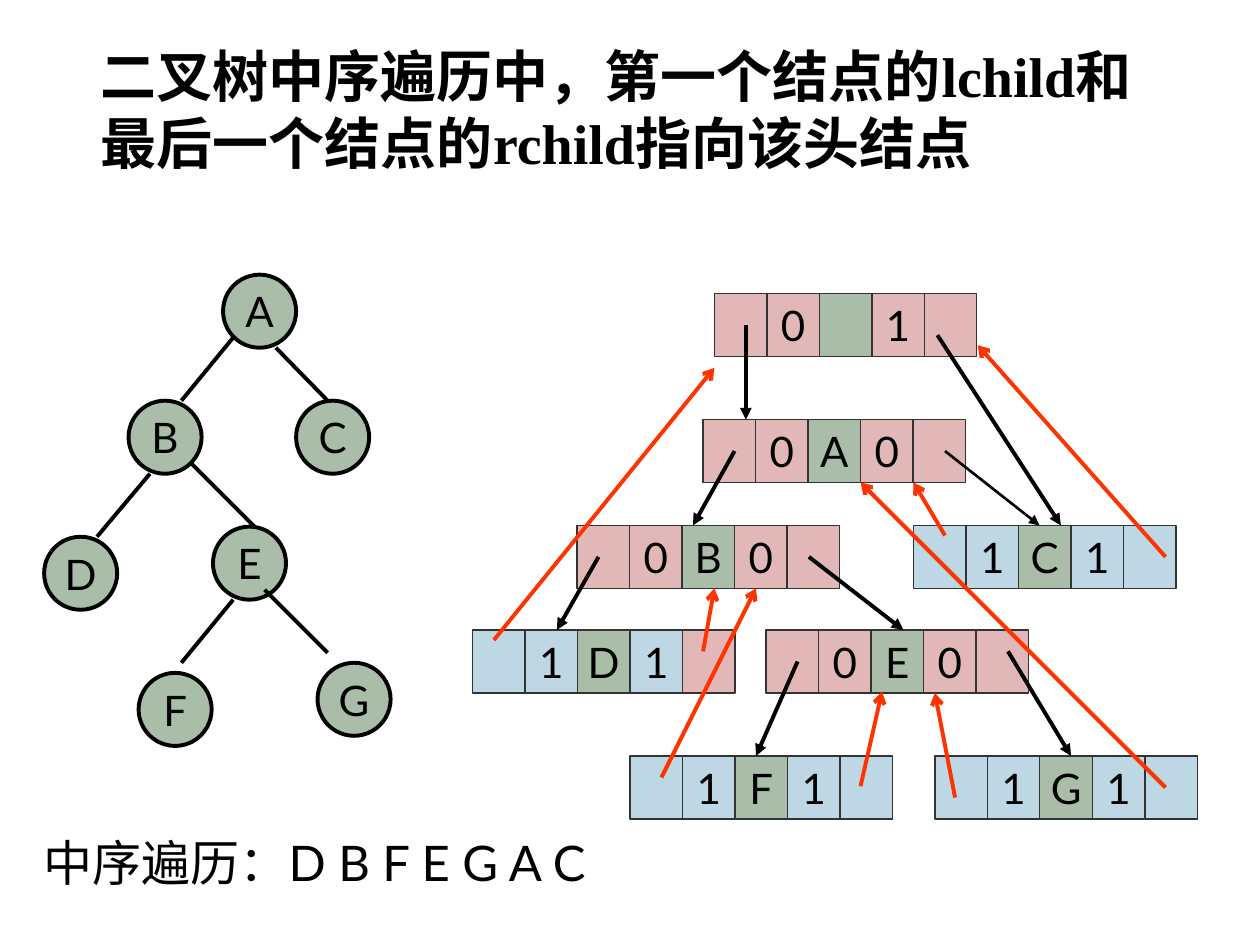
"""Build a slide on the head node of an in-order threaded binary tree."""
from lxml.etree import SubElement
from pptx import Presentation
from pptx.dml.color import RGBColor
from pptx.enum.shapes import MSO_CONNECTOR, MSO_SHAPE
from pptx.enum.text import MSO_ANCHOR, PP_ALIGN
from pptx.oxml.ns import qn
from pptx.util import Inches, Pt

BLACK = RGBColor(0x00, 0x00, 0x00)
GRAY = RGBColor(0x33, 0x33, 0x33)
GREEN = RGBColor(0xA9, 0xBD, 0xA9)
PINK = RGBColor(0xE1, 0xB7, 0xB7)
BLUE = RGBColor(0xBD, 0xD7, 0xE5)
RED = RGBColor(0xFF, 0x33, 0x00)

TITLE = "二叉树中序遍历中，第一个结点的lchild和最后一个结点的rchild指向该头结点"
ORDER = "中序遍历：D B F E G A C"

DIAMETER = 0.58
TREE_NODES = [
    ("A", 1.77, 2.18), ("B", 1.02, 3.18), ("C", 2.35, 3.18), ("D", 0.35, 4.26),
    ("E", 1.69, 4.18), ("G", 2.52, 5.26), ("F", 1.1, 5.34),
]
TREE_EDGES = [
    (1.85, 2.68, 1.44, 3.18), (1.19, 3.76, 0.77, 4.26), (1.85, 4.76, 1.44, 5.26),
    (2.19, 2.76, 2.6, 3.18), (1.52, 3.68, 2.02, 4.18), (2.1, 4.68, 2.6, 5.18),
]

CELL_W, CELL_H = 5 / 12, 0.5
INNER = (PINK, PINK, GREEN, PINK, PINK)
LEAF = (BLUE, BLUE, GREEN, BLUE, BLUE)
FIRST_LEAF = (BLUE, BLUE, GREEN, BLUE, PINK)
RECORDS = [
    (5.67, 2.33, ("0", "", "1"), INNER),
    (5.58, 3.33, ("0", "A", "0"), INNER),
    (4.58, 4.17, ("0", "B", "0"), INNER),
    (7.25, 4.17, ("1", "C", "1"), LEAF),
    (3.75, 5, ("1", "D", "1"), FIRST_LEAF),
    (6.08, 5, ("0", "E", "0"), INNER),
    (5, 6, ("1", "F", "1"), LEAF),
    (7.42, 6, ("1", "G", "1"), LEAF),
]
CHILD_LINKS = [
    (5.83, 3.58, 5.5, 4.17), (4.75, 4.42, 4.42, 5), (6.42, 4.42, 7.17, 5),
    (6.33, 5.25, 6, 6), (8, 5.17, 8.5, 6),
]
THIN_LINK = (7.5, 3.58, 8.25, 4.17)
THREADS = [
    (5.58, 5.17, 5.67, 4.67), (5.25, 6.17, 6, 4.67), (6.83, 6.24, 7, 5.49),
    (7.58, 6.33, 7.42, 5.5), (9.25, 6.25, 6.83, 3.83), (7.5, 4.25, 7.25, 3.83),
    (9.25, 4.42, 7.76, 2.74), (3.92, 5.08, 5.67, 2.92),
]
HEAD_LINKS = [(5.92, 2.58, 5.92, 3.33), (7.44, 2.66, 8.42, 4.17)]


def add_run(p, text, size, font="Lato", bold=False):
    r = p.add_run()
    r.text = text
    r.font.name, r.font.size, r.font.bold = font, Pt(size), bold
    r.font.color.rgb = BLACK


def add_node(s, kind, x, y, w, h, text, fill, line, weight):
    sp = s.shapes.add_shape(kind, Inches(x), Inches(y), Inches(w), Inches(h))
    sp.shadow.inherit = False
    sp.fill.solid()
    sp.fill.fore_color.rgb = fill
    sp.line.color.rgb = line
    sp.line.width = Pt(weight)
    if text:
        tf = sp.text_frame
        tf.word_wrap = False
        tf.vertical_anchor = MSO_ANCHOR.MIDDLE
        p = tf.paragraphs[0]
        p.alignment = PP_ALIGN.CENTER
        add_run(p, text, 24)


def add_line(s, ends, color=BLACK, weight=2.25, head=None):
    c = s.shapes.add_connector(MSO_CONNECTOR.STRAIGHT, *map(Inches, ends))
    c.line.color.rgb = color
    c.line.width = Pt(weight)
    if head:
        SubElement(c.line._get_or_add_ln(), qn("a:tailEnd"), type=head)
    SubElement(c._element.spPr, qn("a:effectLst"))


def add_text(s, x, y, w, h, text, size, **style):
    tf = s.shapes.add_textbox(Inches(x), Inches(y), Inches(w), Inches(h)).text_frame
    tf.word_wrap = True
    p = tf.paragraphs[0]
    add_run(p, text, size, **style)
    return p


def main():
    prs = Presentation()
    prs.slide_width, prs.slide_height = Inches(10), Inches(7.5)
    s = prs.slides.add_slide(prs.slide_layouts[6])

    for name, x, y in TREE_NODES:
        add_node(s, MSO_SHAPE.OVAL, x, y, DIAMETER, DIAMETER, name, GREEN, BLACK, 2.25)
    for ends in TREE_EDGES:
        add_line(s, ends)
    add_text(s, 0.25, 6.56, 4.99, 0.57, ORDER, 28)

    for x, y, fields, fills in RECORDS:
        for i, (text, fill) in enumerate(zip(("", *fields, ""), fills)):
            add_node(s, MSO_SHAPE.RECTANGLE, x + i * CELL_W, y, CELL_W, CELL_H,
                     text, fill, GRAY, 0.75)
    for ends in CHILD_LINKS:
        add_line(s, ends, head="triangle")
    add_line(s, THIN_LINK, weight=1.5, head="triangle")
    for ends in THREADS:
        add_line(s, ends, RED, head="arrow")
    for ends in HEAD_LINKS:
        add_line(s, ends, head="triangle")

    p = add_text(s, 0.2, 0.28, 9.14, 1.17, TITLE, 32, font="Times New Roman", bold=True)
    p.level = 1
    pPr = p._p.get_or_add_pPr()
    pPr.set("marL", str(Inches(0.5)))
    pPr.set("indent", "0")
    prs.save("out.pptx")


if __name__ == "__main__":
    main()
